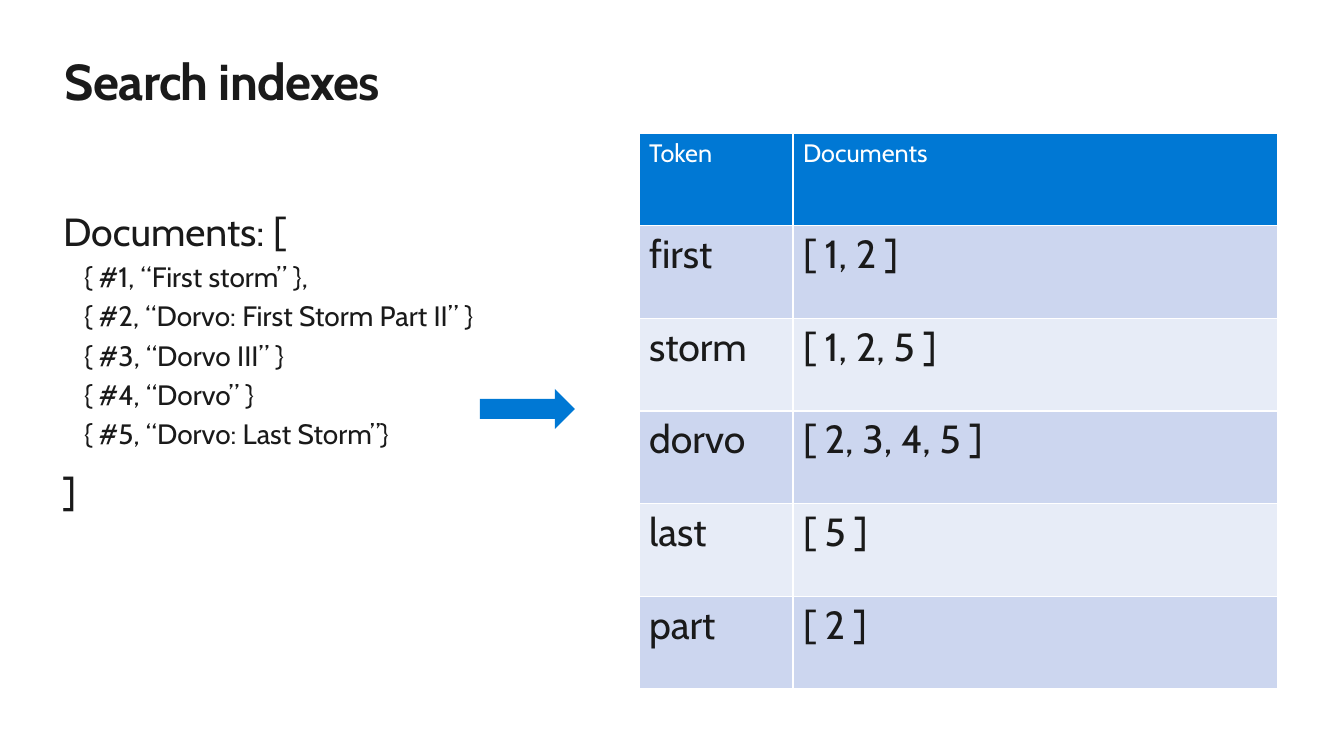
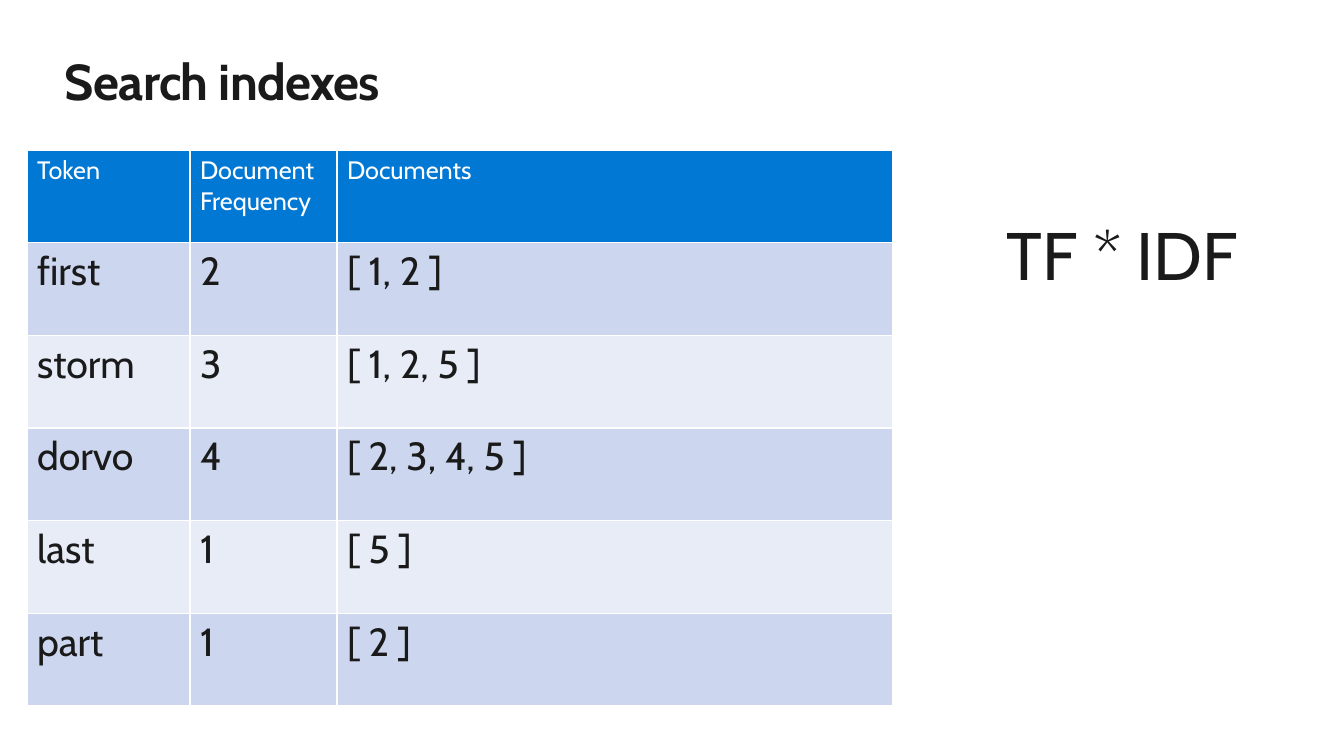
from lxml import etree
from pptx import Presentation
from pptx.dml.color import RGBColor
from pptx.enum.shapes import MSO_SHAPE
from pptx.enum.text import PP_ALIGN
from pptx.oxml.ns import qn
from pptx.util import Emu, Pt

ARROW = MSO_SHAPE.RIGHT_ARROW
LEFT, CENTER = PP_ALIGN.LEFT, PP_ALIGN.CENTER

FONT = "Cabin"
COLORS = {
    "text": "1A1A1A",
    "accent": "0078D4",
    "white": "FFFFFF",
    "odd_row": "CCD6EF",
    "even_row": "E7ECF7",
}
SLIDE_W, SLIDE_H = 1344, 756
EMU_PER_PX = 12192000 / SLIDE_W

TITLE = "Search indexes"
TITLE_BOX = (65, 50, 1215, 122)

# (text, size, left indent in px, space before in pt)
DOCUMENTS = [
    ("Documents: [", 28, 0, 0),
    *[(item, 20, 21, 4) for item in (
        "{ #1, “First storm” },",
        "{ #2, “Dorvo: First Storm Part II” }",
        "{ #3, “Dorvo III” }",
        "{ #4, “Dorvo” }",
        "{ #5, “Dorvo: Last Storm”}",
    )],
    ("]", 28, 0, 12.2),
]
DOCUMENTS_BOX = (63, 207, 575, 505)
ARROW_BOX = (480, 389, 95, 40)

INDEX = [
    ("first", [1, 2]),
    ("storm", [1, 2, 5]),
    ("dorvo", [2, 3, 4, 5]),
    ("last", [5]),
    ("part", [2]),
]
TABLE_H = 556

FORMULA = "TF * IDF"
FORMULA_BOX = (950, 213, 345, 82)


def px(n):
    return Emu(round(n * EMU_PER_PX))


def rgb(name):
    return RGBColor.from_string(COLORS[name])


def add_text(p, text, size, color="text", bold=False):
    """Add runs to a paragraph, with a line break at each newline."""
    for i, line in enumerate(text.split("\n")):
        if i:
            p.add_line_break()
        r = p.add_run()
        r.text = line
        r.font.name = FONT
        r.font.size = Pt(size)
        r.font.bold = bold
        r.font.color.rgb = rgb(color)


def add_box(s, box, lines, align=LEFT, bold=False):
    """Add a text box without margins; lines are like those in DOCUMENTS."""
    tf = s.shapes.add_textbox(*map(px, box)).text_frame
    tf.word_wrap = True
    tf.margin_left = tf.margin_top = tf.margin_right = tf.margin_bottom = 0
    for i, (text, size, indent, before) in enumerate(lines):
        p = tf.add_paragraph() if i else tf.paragraphs[0]
        p.alignment = align
        p.space_before = Pt(before)
        if indent:
            p._p.get_or_add_pPr().set("marL", str(px(indent)))
        add_text(p, text, size, bold=bold)
    return tf


def set_borders(cell):
    tc_pr = cell._tc.get_or_add_tcPr()
    for i, side in enumerate(("lnL", "lnR", "lnT", "lnB")):
        ln = etree.Element(qn(f"a:{side}"), w=str(Pt(1)))
        fill = etree.SubElement(ln, qn("a:solidFill"))
        etree.SubElement(fill, qn("a:srgbClr"), val=COLORS["white"])
        tc_pr.insert(i, ln)


def add_index_table(s, left, top, widths, rows):
    """Add a table whose first row is the header."""
    table = s.shapes.add_table(
        len(rows), len(widths), px(left), px(top), px(sum(widths)), px(TABLE_H)
    ).table
    for col, width in zip(table.columns, widths):
        col.width = px(width)
    for i, row in enumerate(rows):
        table.rows[i].height = px(TABLE_H / len(rows))
        if i == 0:
            fill, color, size = "accent", "white", 18
        else:
            fill, color, size = ("odd_row" if i % 2 else "even_row"), "text", 28
        for j, text in enumerate(row):
            cell = table.cell(i, j)
            cell.fill.solid()
            cell.fill.fore_color.rgb = rgb(fill)
            set_borders(cell)
            add_text(cell.text_frame.paragraphs[0], text, size, color)


def add_slide(prs):
    s = prs.slides.add_slide(prs.slide_layouts[6])
    tf = add_box(s, TITLE_BOX, [(TITLE, 36, 0, 0)], bold=True)
    tf.paragraphs[0].runs[0].font._element.set("spc", "-50")
    return s


def doc_list(docs):
    return f"[ {', '.join(map(str, docs))} ]"


def build_token_slide(prs):
    s = add_slide(prs)
    add_box(s, DOCUMENTS_BOX, DOCUMENTS)
    rows = [("Token", "Documents")]
    rows += [(token, doc_list(docs)) for token, docs in INDEX]
    add_index_table(s, 639, 133, (154, 485), rows)
    arrow = s.shapes.add_shape(ARROW, *map(px, ARROW_BOX))
    arrow.shadow.inherit = False
    arrow.fill.solid()
    arrow.fill.fore_color.rgb = rgb("accent")
    arrow.line.fill.background()


def build_frequency_slide(prs):
    s = add_slide(prs)
    rows = [("Token", "Document\nFrequency", "Documents")]
    rows += [(token, str(len(docs)), doc_list(docs)) for token, docs in INDEX]
    add_index_table(s, 27, 150, (163, 147, 556), rows)
    add_box(s, FORMULA_BOX, [(FORMULA, 48, 0, 0)], CENTER)


def main():
    prs = Presentation()
    prs.slide_width, prs.slide_height = px(SLIDE_W), px(SLIDE_H)
    build_token_slide(prs)
    build_frequency_slide(prs)
    prs.save("out.pptx")


if __name__ == "__main__":
    main()
